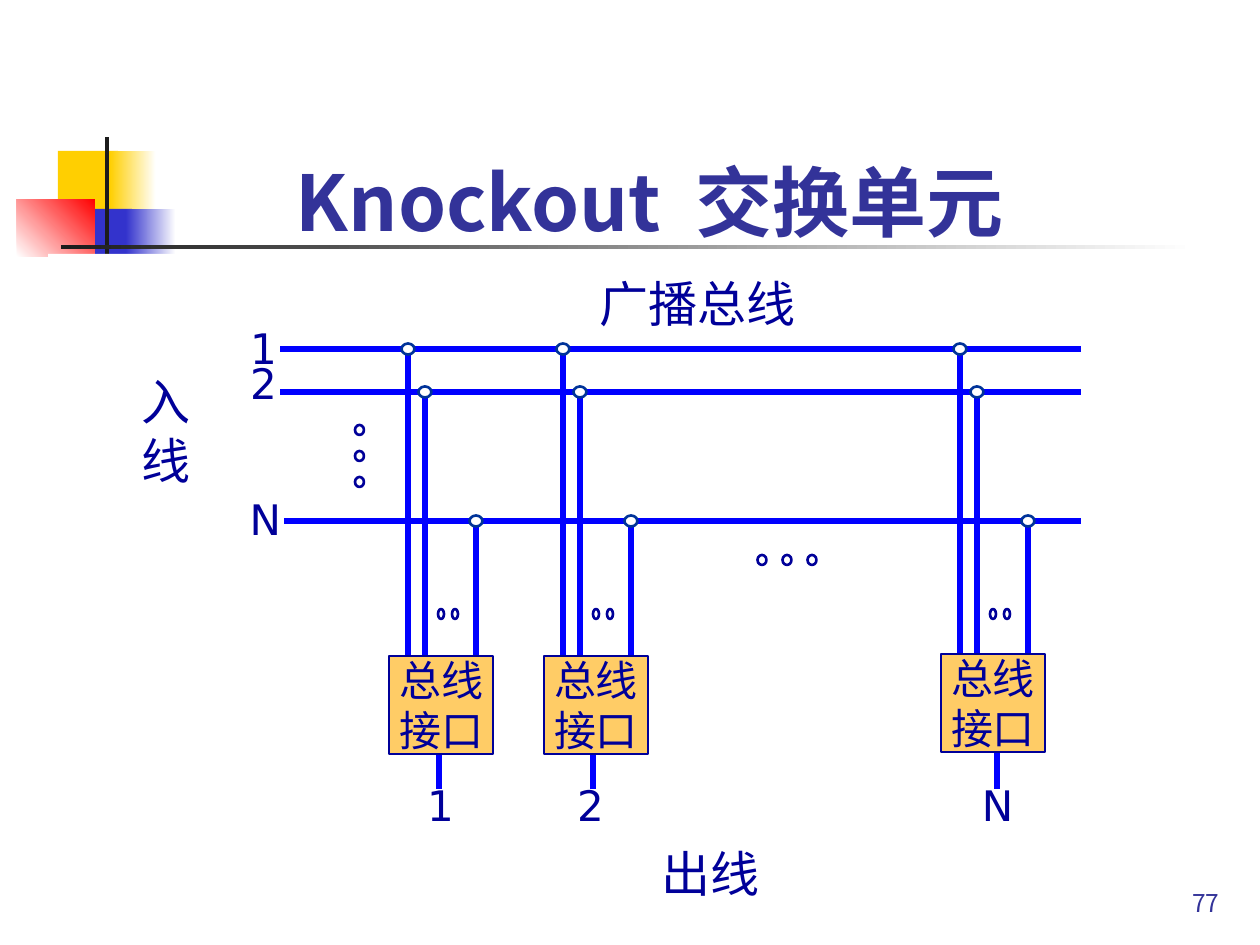
from lxml.etree import SubElement
from pptx import Presentation
from pptx.dml.color import RGBColor
from pptx.enum.shapes import MSO_CONNECTOR, MSO_SHAPE
from pptx.enum.text import MSO_ANCHOR, PP_ALIGN
from pptx.oxml.ns import qn
from pptx.util import Pt

PX = 7257.14  # EMU per pixel, 126 pixels to the inch
COLORS = {
    "white": "FFFFFF", "yellow": "FFCF01", "red": "FF0000", "blue": "3333CC",
    "black": "1C1C1C", "title": "333399", "wire": "0000FF", "ink": "000099",
    "node": "003399", "box": "FFCC66",
}
TITLE_FONT = "Noto Sans CJK JP"
BODY_FONT = "DejaVu Sans"


def emu(px):
    return round(px * PX)


def rgb(name):
    return RGBColor.from_string(COLORS[name])


class SlideBuilder:
    def __init__(self, slide):
        self.shapes = slide.shapes

    def shape(self, left, top, width, height, fill, line=None, kind=MSO_SHAPE.RECTANGLE):
        shape = self.shapes.add_shape(kind, emu(left), emu(top), emu(width), emu(height))
        shape.shadow.inherit = False
        shape.fill.solid()
        shape.fill.fore_color.rgb = rgb(fill)
        if line:
            shape.line.color.rgb = rgb(line)
            shape.line.width = Pt(1.5)
        else:
            shape.line.fill.background()
        return shape

    def gradient(self, left, top, width, height, start, end, angle=0):
        shape = self.shape(left, top, width, height, start)
        shape.fill.gradient()
        shape.fill.gradient_angle = angle
        for stop, name, position in zip(shape.fill.gradient_stops, (start, end), (0, 1)):
            stop.color.rgb = rgb(name)
            stop.position = position

    def circle(self, center_x, center_y, width, height, line="ink"):
        self.shape(center_x - width / 2, center_y - height / 2, width, height,
                   "white", line, MSO_SHAPE.OVAL)

    def wire(self, x1, y1, x2, y2):
        line = self.shapes.add_connector(
            MSO_CONNECTOR.STRAIGHT, emu(x1), emu(y1), emu(x2), emu(y2))
        line.line.color.rgb = rgb("wire")
        line.line.width = Pt(3)
        SubElement(line._element.spPr, qn("a:effectLst"))

    def label(self, left, top, width, height, lines, size=24, wrap=False,
              fill="white", line=None):
        box = self.shape(left, top, width, height, fill, line)
        self.add_text(box, [[text] for text in lines], size, wrap=wrap)

    def heading(self, left, top, width, height, runs, size, **style):
        box = self.shapes.add_textbox(emu(left), emu(top), emu(width), emu(height))
        return self.add_text(box, [runs], size, font=TITLE_FONT, color="title",
                             anchor=MSO_ANCHOR.BOTTOM, **style)

    def add_text(self, box, paragraphs, size, font=BODY_FONT, color="ink", bold=False,
                 align=PP_ALIGN.CENTER, anchor=MSO_ANCHOR.MIDDLE, wrap=True):
        frame = box.text_frame
        frame.word_wrap = wrap
        frame.vertical_anchor = anchor
        for index, runs in enumerate(paragraphs):
            para = frame.add_paragraph() if index else frame.paragraphs[0]
            para.alignment = align
            for text in runs:
                span = para.add_run()
                span.text = text
                span.font.size = Pt(size)
                span.font.bold = bold
                span.font.name = font
                span.font.color.rgb = rgb(color)
                SubElement(span._r.rPr, qn("a:ea"), typeface=font)
        return frame


def main():
    deck = Presentation()
    deck.slide_width, deck.slide_height = emu(1260), emu(945)
    page = SlideBuilder(deck.slides.add_slide(deck.slide_layouts[6]))

    # Corner decoration
    page.shape(58, 151, 60, 66, "yellow")
    page.gradient(110, 151, 46, 66, "yellow", "white")
    page.shape(74, 209, 58, 66, "blue")
    page.gradient(126, 209, 50, 66, "blue", "white")
    page.gradient(17, 199, 78, 58, "white", "red", 45)
    page.shape(105, 137, 4, 145, "black")
    page.gradient(61, 245, 1134, 4, "black", "white")

    # Page number and title, with the gap before the Chinese words widened
    page.heading(970, 861, 262, 63, ["77"], 14, align=PP_ALIGN.RIGHT)
    title = page.heading(113, 45, 1074, 202, ["Knockout", " ", "交换单元"], 44, bold=True)
    title.margin_top = title.margin_bottom = 0
    title.paragraphs[0].runs[1]._r.rPr.set("spc", "970")

    # Diagram panel and broadcast buses
    page.shape(48, 254, 1101, 691, "white")
    buses = (349, 392, 521)
    for y in buses:
        page.wire(280, y, 1081, y)

    # Ellipsis dots between buses and between columns
    for step in range(3):
        page.circle(359.5, 430 + 26 * step, 9, 10)
        page.circle(762 + 25 * step, 560, 9, 10)

    # Input labels
    page.label(247, 328, 33, 39, ["1"])
    page.label(247, 367, 33, 31, ["2"])
    page.label(247, 499, 37, 39, ["N"])

    # Output columns: name, box left, box top, stub x, label left
    columns = (("1", 389, 656, 439, 389), ("2", 544, 656, 593, 539),
               ("N", 941, 654, 997, 946))
    for name, left, top, stub, label_left in columns:
        taps = [left + offset for offset in (19, 36, 87)]
        for x, y in zip(taps, buses):
            page.wire(x, y, x, top)
            page.circle(x, y, 13, 11, "node")
        for offset in (52, 66):
            page.circle(left + offset, 614, 6, 10)
        page.label(label_left, 775, 103, 59, [name])
        page.wire(stub, 737, stub, 789)
        page.label(left, top, 104, 98, ["总线", "接口"], fill="box", line="ink")

    # Captions
    page.label(596, 273, 203, 59, ["广播总线"], 28)
    page.label(630, 853, 161, 39, ["出线"], 28)
    page.label(129, 383, 60, 95, ["入线"], 28, wrap=True)

    deck.save("out.pptx")


if __name__ == "__main__":
    main()
